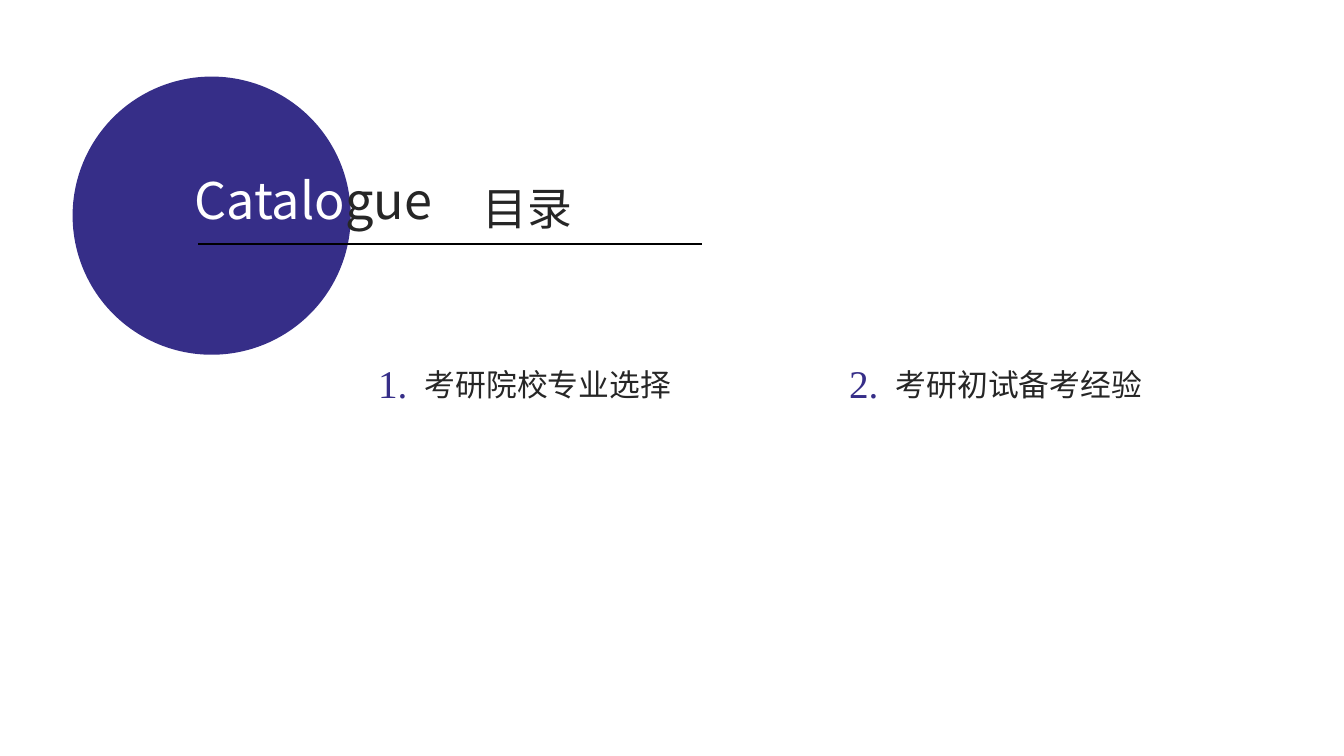
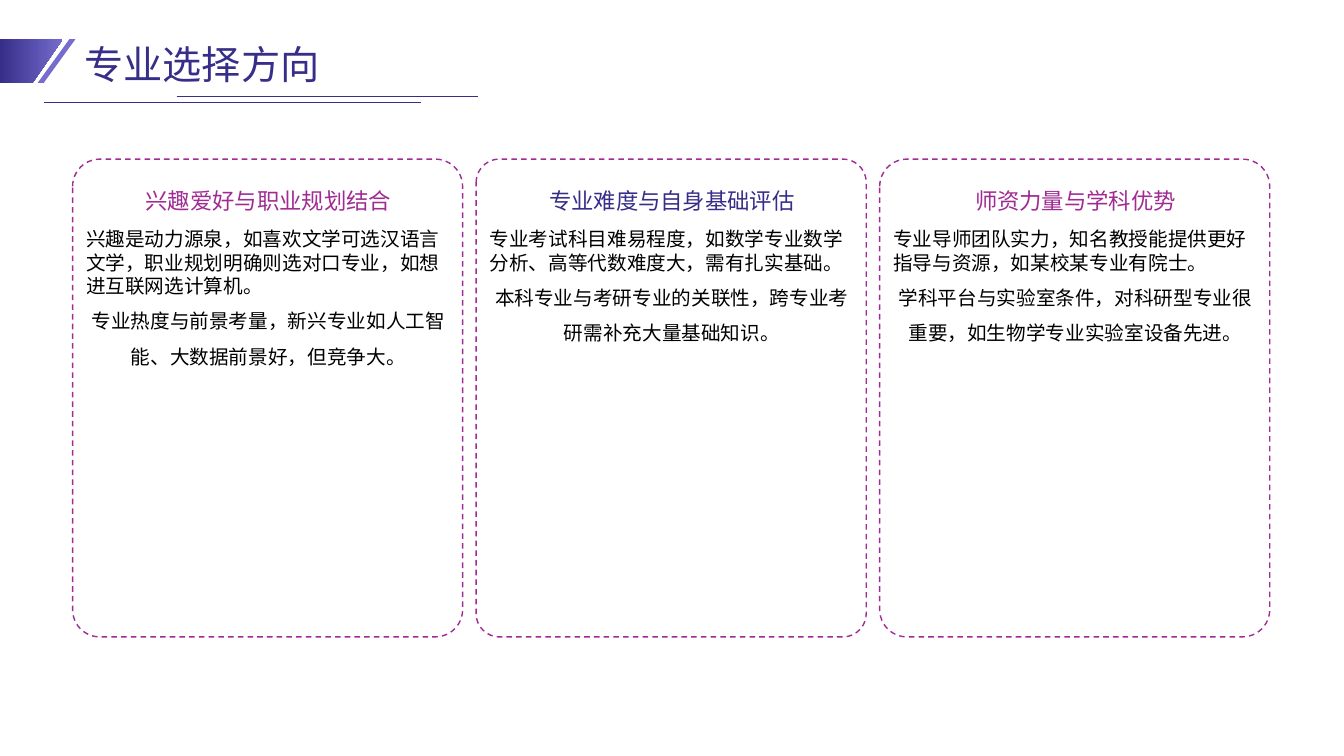
from dataclasses import dataclass

from lxml.etree import SubElement
from pptx import Presentation
from pptx.dml.color import RGBColor
from pptx.enum.dml import MSO_LINE
from pptx.enum.shapes import MSO_CONNECTOR, MSO_SHAPE
from pptx.enum.text import MSO_ANCHOR, MSO_AUTO_SIZE, PP_ALIGN
from pptx.oxml.ns import qn
from pptx.shapes.autoshape import Shape
from pptx.slide import Slide
from pptx.util import Cm, Length, Pt

INDIGO = RGBColor(0x36, 0x2E, 0x88)
LILAC = RGBColor(0x75, 0x6C, 0xCD)
MAGENTA = RGBColor(0xA0, 0x2B, 0x93)
INK = RGBColor(0x26, 0x26, 0x26)
BLACK = RGBColor(0, 0, 0)
WHITE = RGBColor(0xFF, 0xFF, 0xFF)
SANS, SERIF = "Noto Sans CJK SC", "Times New Roman"
TITLE_ONLY = 5


@dataclass
class Box:
    """A position and size in centimetres."""
    x: float
    y: float
    w: float
    h: float

    def emu(self) -> tuple[Length, Length, Length, Length]:
        """Return the box as lengths."""
        return Cm(self.x), Cm(self.y), Cm(self.w), Cm(self.h)


@dataclass
class Topic:
    """A numbered entry of the catalogue."""
    x: float
    number: str
    name: str


@dataclass
class Card:
    """A dashed panel with a heading and two paragraphs."""
    heading: str
    color: RGBColor
    adj: float
    first: str
    second: str


TOPICS = [Topic(9.53, "1.", "考研院校专业选择"), Topic(21.4, "2.", "考研初试备考经验")]
CARDS = [
    Card("兴趣爱好与职业规划结合", MAGENTA, 0.07,
         "兴趣是动力源泉，如喜欢文学可选汉语言文学，职业规划明确则选对口专业，如想进互联网选计算机。",
         "专业热度与前景考量，新兴专业如人工智能、大数据前景好，但竞争大。"),
    Card("专业难度与自身基础评估", INDIGO, 0.06,
         "专业考试科目难易程度，如数学专业数学分析、高等代数难度大，需有扎实基础。",
         "本科专业与考研专业的关联性，跨专业考研需补充大量基础知识。"),
    Card("师资力量与学科优势", MAGENTA, 0.07,
         "专业导师团队实力，知名教授能提供更好指导与资源，如某校某专业有院士。",
         "学科平台与实验室条件，对科研型专业很重要，如生物学专业实验室设备先进。"),
]


def write(sp: Shape, txt: str, *, size: float, color: RGBColor = INK, font: str = SANS,
          align: PP_ALIGN = PP_ALIGN.LEFT, spacing: float | Length = 1.0,
          same_line: bool = False) -> None:
    """Append formatted text to a shape, as a new paragraph unless same_line."""
    tf = sp.text_frame
    p = tf.add_paragraph() if tf.text and not same_line else tf.paragraphs[-1]
    p.alignment, p.line_spacing = align, spacing
    r = p.add_run()
    r.text = txt
    r.font.size, r.font.name, r.font.color.rgb = Pt(size), font, color
    SubElement(r.font._element, qn("a:ea")).set("typeface", font)


def frame(sp: Shape, anchor: MSO_ANCHOR) -> Shape:
    """Give a shape a wrapping text frame without margins."""
    tf = sp.text_frame
    tf.word_wrap, tf.auto_size, tf.vertical_anchor = True, MSO_AUTO_SIZE.NONE, anchor
    tf.margin_left = tf.margin_top = tf.margin_right = tf.margin_bottom = 0
    return sp


def text_box(s: Slide, box: Box, anchor: MSO_ANCHOR = MSO_ANCHOR.MIDDLE) -> Shape:
    """Add an empty text box."""
    return frame(s.shapes.add_textbox(*box.emu()), anchor)


def title(s: Slide, box: Box) -> Shape:
    """Place the title placeholder in front of the shapes drawn so far."""
    sp = s.shapes.title
    sp.left, sp.top, sp.width, sp.height = box.emu()
    sp.element.getparent().append(sp.element)
    return frame(sp, MSO_ANCHOR.MIDDLE)


def shape(s: Slide, kind: MSO_SHAPE, box: Box, fill: RGBColor | None = None) -> Shape:
    """Add a preset shape without shadow or outline."""
    sp = s.shapes.add_shape(kind, *box.emu())
    sp.shadow.inherit = False
    sp.line.fill.background()
    if fill is None:
        sp.fill.background()
    else:
        sp.fill.solid()
        sp.fill.fore_color.rgb = fill
    return sp


def rule(s: Slide, x1: float, x2: float, y: float, color: RGBColor, width: float) -> None:
    """Draw a horizontal line."""
    ln = s.shapes.add_connector(MSO_CONNECTOR.STRAIGHT, Cm(x1), Cm(y), Cm(x2), Cm(y))
    ln.line.color.rgb, ln.line.width = color, Pt(width)
    SubElement(ln._element.spPr, qn("a:effectLst"))


def title_band(s: Slide) -> None:
    """Draw the slanted band and the two rules around a title."""
    shape(s, MSO_SHAPE.PARALLELOGRAM, Box(0.95, 0.99, 0.95, 1.1), LILAC).adjustments[0] = 0.84
    fb = s.shapes.build_freeform(Cm(0), Cm(0.99))
    fb.add_line_segments([(Cm(1.58), Cm(0.99)), (Cm(0.82), Cm(2.09)), (Cm(0), Cm(2.09))])
    band = fb.convert_to_shape()
    band.shadow.inherit = False
    band.line.fill.background()
    band.fill.gradient()
    band.fill.gradient_angle = 0
    for stop, color, pos in zip(band.fill.gradient_stops, (INDIGO, LILAC), (0, 1)):
        stop.color.rgb, stop.position = color, pos
    rule(s, 1.12, 10.6, 2.57, INDIGO, 0.5)
    rule(s, 4.45, 12.04, 2.42, INDIGO, 0.5)


def draw_topic(s: Slide, topic: Topic) -> None:
    """Draw a number and its topic."""
    number = text_box(s, Box(topic.x, 8.92, 1.1, 1.32))
    write(number, topic.number, size=28, color=INDIGO, font=SERIF, spacing=1.1)
    name = text_box(s, Box(topic.x + 1.18, 9.2, 9.4, 2.49), MSO_ANCHOR.TOP)
    write(name, topic.name, size=22, spacing=Pt(27))


def draw_card(s: Slide, card: Card, x: float) -> None:
    """Draw a dashed card with its texts."""
    panel = shape(s, MSO_SHAPE.ROUNDED_RECTANGLE, Box(x, 4.01, 9.83, 12.04))
    panel.adjustments[0] = card.adj
    panel.line.color.rgb, panel.line.width = MAGENTA, Pt(1)
    panel.line.dash_style = MSO_LINE.DASH
    body = text_box(s, Box(x + 0.34, 5.72, 9.19, 10), MSO_ANCHOR.TOP)
    write(body, card.first, size=14, color=BLACK, spacing=Pt(16.8))
    write(body, card.second, size=14, color=BLACK, align=PP_ALIGN.CENTER, spacing=Pt(25.2))
    heading = text_box(s, Box(x + 0.34, 4.5, 9.19, 1.02))
    write(heading, card.heading, size=16, color=card.color, align=PP_ALIGN.CENTER, spacing=1.1)


def catalogue_slide(s: Slide) -> None:
    """Build the catalogue."""
    shape(s, MSO_SHAPE.OVAL, Box(1.83, 1.93, 7.01, 7.01), INDIGO)
    sp = title(s, Box(4.9, 4.39, 7.0, 1.27))
    write(sp, "Catalo", size=36, color=WHITE)
    write(sp, "gue", size=36, same_line=True)
    write(text_box(s, Box(12.17, 4.7, 2.72, 1.07)), "目录", size=32)
    rule(s, 5, 17.68, 6.15, BLACK, 1)
    for topic in TOPICS:
        draw_topic(s, topic)


def direction_slide(s: Slide) -> None:
    """Build the three cards on choosing a major."""
    title_band(s)
    write(title(s, Box(2.13, 0.91, 29.87, 1.3)), "专业选择方向", size=28, color=INDIGO, spacing=1.1)
    for i, card in enumerate(CARDS):
        draw_card(s, card, 1.83 + i * 10.17)


def main() -> None:
    """Build and save the presentation."""
    prs = Presentation()
    prs.slide_width, prs.slide_height = Cm(33.87), Cm(19.05)
    for build in (catalogue_slide, direction_slide):
        build(prs.slides.add_slide(prs.slide_layouts[TITLE_ONLY]))
    prs.save("out.pptx")


if __name__ == "__main__":
    main()
